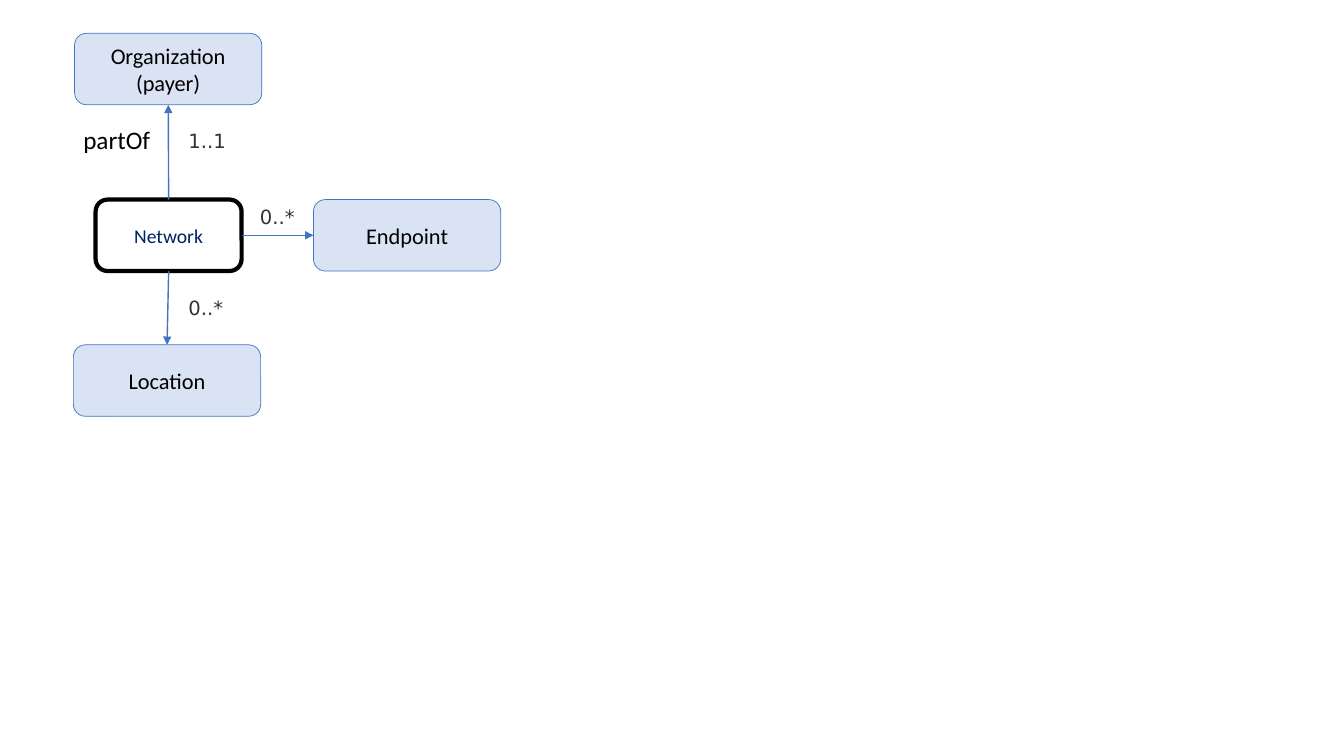
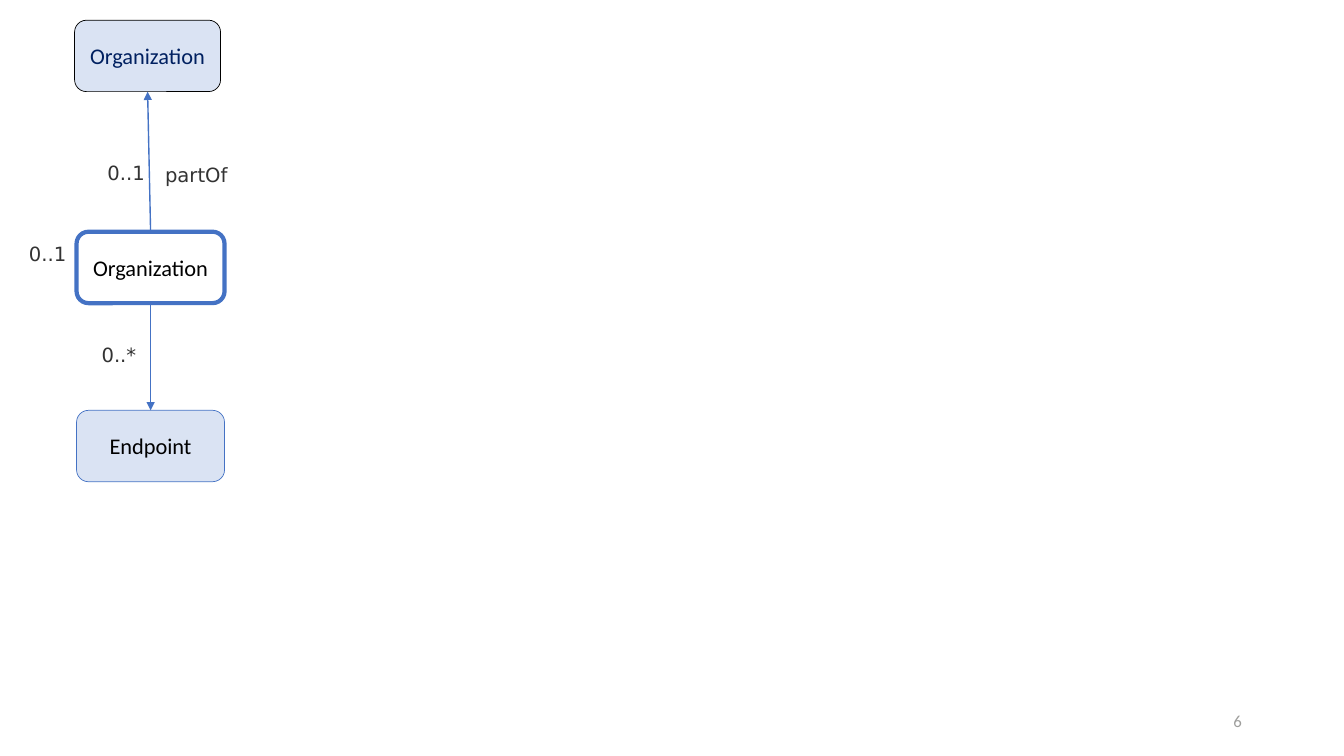
from lxml import etree
from pptx import Presentation
from pptx import util as u
from pptx.dml.color import RGBColor
from pptx.enum import shapes, text
from pptx.oxml.ns import qn

COLORS = {"blue": "4472C4", "pale": "DAE3F3", "navy": "002060",
          "black": "000000", "dark": "333333", "grey": "9E9E9C"}
BOX_HEIGHT, LABEL_HEIGHT = 1.8, 0.86
TOP, LEFT, BOTTOM, RIGHT = range(4)  # connection sites of a rounded rectangle

# Box styles: fill, line colour, line width, text colour, text size
STYLES = {
    "related": ("pale", "blue", 0.5, "black", 16),
    "parent": ("pale", "black", 0.5, "navy", 16),
    "network": (None, "black", 3, "navy", 14),
    "focus": (None, "blue", 3, "black", 16),
}
# Label styles: font, size, colour, wrap
LABELS = {"plain": ("DejaVu Sans", 14, "dark", True),
          "large": ("Calibri", 18, "black", False)}

# boxes: key -> (lines, style, left, top, width) in cm
# arrows: (from box, site, to box, site)
# labels: (text, style, left, top, width) in cm
DIAGRAMS = [
    {
        "boxes": {
            "network": (["Network"], "network", 2.41, 5.03, 3.68),
            "payer": (["Organization", "(payer)"], "related", 1.88, 0.84, 4.72),
            "location": (["Location"], "related", 1.85, 8.69, 4.72),
            "endpoint": (["Endpoint"], "related", 7.9, 5.03, 4.72),
        },
        "arrows": [("network", BOTTOM, "location", TOP),
                   ("network", TOP, "payer", BOTTOM),
                   ("network", RIGHT, "endpoint", LEFT)],
        "labels": [("1..1", "plain", 4.5, 3.12, 1.83),
                   ("0..*", "plain", 4.5, 7.32, 1.83),
                   ("partOf", "large", 1.85, 3, 2.21),
                   ("0..*", "plain", 6.3, 5.03, 1.83)],
        "number": None,
    },
    {
        "boxes": {
            "organization": (["Organization"], "focus", 1.93, 5.84, 3.73),
            "parent": (["Organization"], "parent", 1.88, 0.51, 3.68),
            "endpoint": (["Endpoint"], "related", 1.93, 10.34, 3.73),
        },
        "arrows": [("organization", TOP, "parent", BOTTOM),
                   ("organization", BOTTOM, "endpoint", TOP)],
        "labels": [("0..*", "plain", 2.31, 8.51, 1.83),
                   ("0..1", "plain", 0.48, 5.97, 1.83),
                   ("0..1", "plain", 2.46, 3.94, 1.83),
                   ("partOf", "plain", 3.91, 3.99, 2.29)],
        "number": "6",
    },
]


def rgb(name):
    """Return the named colour."""
    return RGBColor.from_string(COLORS[name])


def write(shape, lines, font, size, color, align, anchor, wrap=True):
    """Fill a shape with one paragraph per line."""
    frame = shape.text_frame
    frame.word_wrap = wrap
    frame.vertical_anchor = anchor
    for index, line in enumerate(lines):
        paragraph = frame.add_paragraph() if index else frame.paragraphs[0]
        paragraph.alignment = align
        run = paragraph.add_run()
        run.text = line
        run.font.name = font
        run.font.size = u.Pt(size)
        run.font.color.rgb = rgb(color)


def add_box(slide, lines, style, left, top, width):
    """Add a rounded entity box."""
    fill, line, weight, color, size = STYLES[style]
    shape = slide.shapes.add_shape(
        shapes.MSO_SHAPE.ROUNDED_RECTANGLE,
        u.Cm(left), u.Cm(top), u.Cm(width), u.Cm(BOX_HEIGHT))
    shape.shadow.inherit = False
    if fill:
        shape.fill.solid()
        shape.fill.fore_color.rgb = rgb(fill)
    else:
        shape.fill.background()
    shape.line.color.rgb = rgb(line)
    shape.line.width = u.Pt(weight)
    write(shape, lines, "Calibri", size, color,
          text.PP_ALIGN.CENTER, text.MSO_ANCHOR.MIDDLE)
    return shape


def add_arrow(slide, source, source_site, target, target_site):
    """Join two boxes with a straight arrow."""
    arrow = slide.shapes.add_connector(shapes.MSO_CONNECTOR.STRAIGHT, 0, 0, 0, 0)
    arrow.begin_connect(source, source_site)
    arrow.end_connect(target, target_site)
    arrow.line.color.rgb = rgb("blue")
    arrow.line.width = u.Pt(1)
    line = arrow.line._get_or_add_ln()
    etree.SubElement(line, qn("a:tailEnd"), type="triangle")
    etree.SubElement(arrow._element.spPr, qn("a:effectLst"))


def add_text(slide, content, left, top, width, height, font, size, color,
             wrap=True, align=text.PP_ALIGN.LEFT, anchor=text.MSO_ANCHOR.TOP):
    """Add a one-line text box."""
    box = slide.shapes.add_textbox(u.Cm(left), u.Cm(top), u.Cm(width), u.Cm(height))
    write(box, [content], font, size, color, align, anchor, wrap)


def build_slide(presentation, diagram):
    """Build one slide from its boxes, arrows and labels."""
    slide = presentation.slides.add_slide(presentation.slide_layouts[6])
    boxes = {key: add_box(slide, *box) for key, box in diagram["boxes"].items()}
    for source, source_site, target, target_site in diagram["arrows"]:
        add_arrow(slide, boxes[source], source_site, boxes[target], target_site)
    for content, style, left, top, width in diagram["labels"]:
        add_text(slide, content, left, top, width, LABEL_HEIGHT, *LABELS[style])
    if diagram["number"]:
        add_text(slide, diagram["number"], 23.93, 17.65, 7.62, 1.02,
                 "Calibri", 12, "grey", align=text.PP_ALIGN.RIGHT,
                 anchor=text.MSO_ANCHOR.MIDDLE)


presentation = Presentation()
presentation.slide_width, presentation.slide_height = u.Cm(33.87), u.Cm(19.05)
for diagram in DIAGRAMS:
    build_slide(presentation, diagram)
presentation.save("out.pptx")
